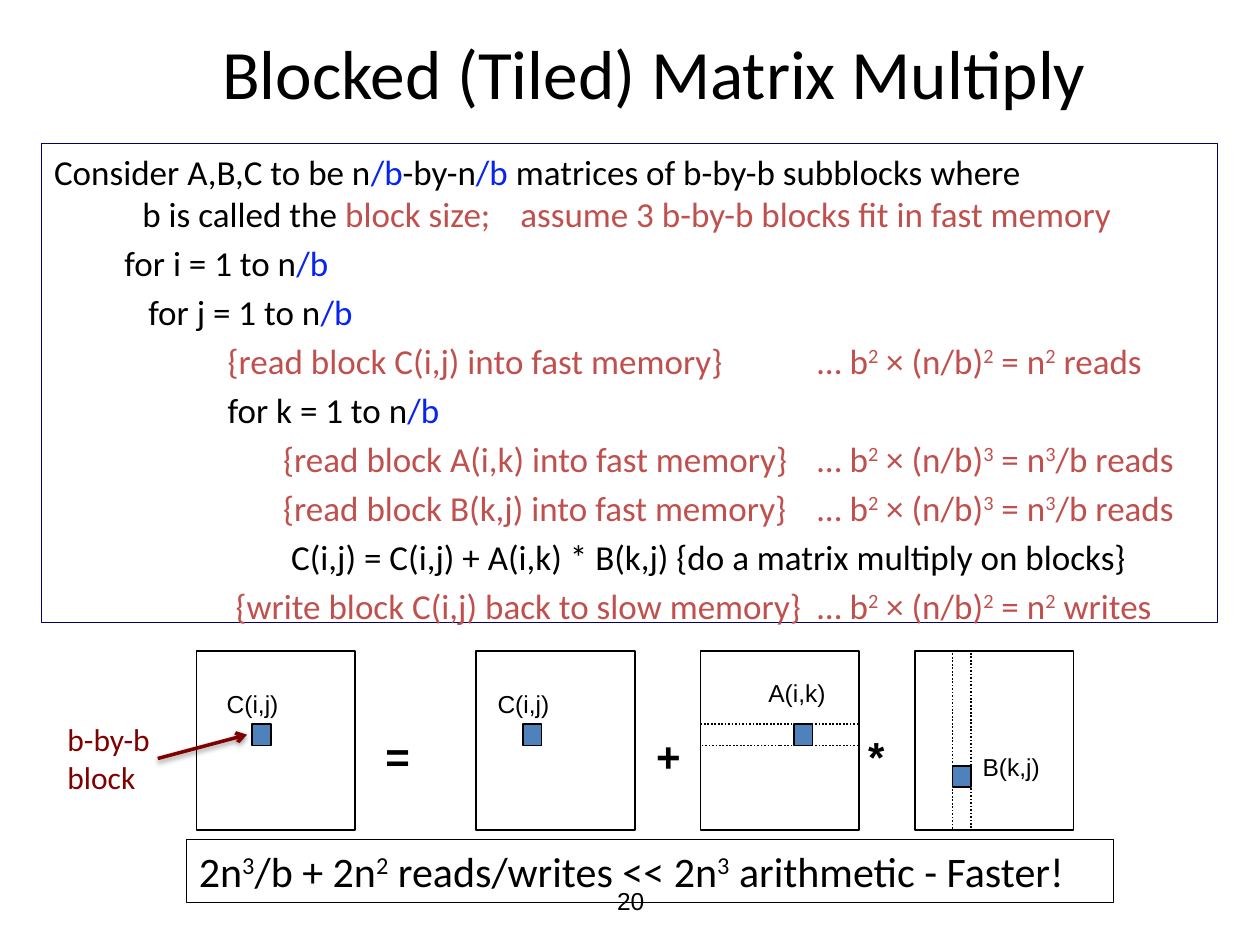
"""Build a slide on blocked matrix multiplication."""
from dataclasses import dataclass

import lxml.etree
import pptx
import pptx.dml.color
import pptx.enum.dml
import pptx.enum.shapes
import pptx.enum.text
import pptx.oxml
import pptx.oxml.ns
import pptx.util

Cm, Pt = pptx.util.Cm, pptx.util.Pt
RGBColor = pptx.dml.color.RGBColor
ALIGN = pptx.enum.text.PP_ALIGN
MIDDLE = pptx.enum.text.MSO_ANCHOR.MIDDLE
BLACK = RGBColor(0x00, 0x00, 0x00)
BLUE = RGBColor(0x08, 0x24, 0xF2)
RED = RGBColor(0xC0, 0x50, 0x4D)
NAVY = RGBColor(0x00, 0x00, 0x66)
MAROON = RGBColor(0x80, 0x00, 0x00)
BLOCK_FILL = RGBColor(0x4F, 0x81, 0xBD)

MATRIX_TOP, MATRIX_W, MATRIX_H = 13.13, 3.2, 3.6
BLOCK_W, BLOCK_H = 0.38, 0.43
COST_TAB = 15.39
CODE = {"name": "Calibri", "size": Pt(20)}
LABEL = {"name": "Arial", "size": Pt(14), "color": BLACK}
OPERATOR = {"name": "Arial", "size": Pt(24), "color": BLACK, "bold": True}
CALLOUT = {"name": "Calibri", "size": Pt(18), "color": MAROON}
RESULT = {"name": "Calibri", "size": Pt(24), "color": BLACK}
TITLE = {"name": "Calibri", "size": Pt(39.6), "color": BLACK}
SHADOW = """<a:effectLst xmlns:a="http://schemas.openxmlformats.org/drawingml/2006/main">
<a:outerShdw blurRad="39370" dist="20320" dir="5400000" rotWithShape="0">
<a:srgbClr val="000000"><a:alpha val="38000"/></a:srgbClr></a:outerShdw></a:effectLst>"""


@dataclass
class Line:
    """A code line: tab stops in cm and coloured segments."""
    tabs: tuple
    segments: list


@dataclass
class Matrix:
    """A matrix with its block and label offsets in cm."""
    left: float
    label: str
    block: tuple
    label_at: tuple
    strip: str = ""


def loop(indent: float, var: str) -> Line:
    """Return a loop header line."""
    return Line((indent,), [(f"\tfor {var} = 1 to n", BLACK), ("/b", BLUE)])


def transfer(indent: float, action: str, cost: str) -> Line:
    """Return a memory transfer line with its cost at a common tab stop."""
    return Line((indent, COST_TAB), [(f"\t{{{action} memory}}\t… {cost}", RED)])


LINES = [
    Line((1.78, 9.4), [
        ("Consider A,B,C to be n", BLACK), ("/b", BLUE), ("-by-n", BLACK),
        ("/b", BLUE), (" matrices of b-by-b subblocks where", BLACK),
        ("\n", BLACK), ("\tb is called the ", BLACK),
        ("block size;\tassume 3 b-by-b blocks fit in fast memory", RED)]),
    loop(1.42, "i"),
    loop(1.9, "j"),
    transfer(3.5, "read block C(i,j) into fast", "b^2 × (n/b)^2 = n^2 reads"),
    loop(3.5, "k"),
    transfer(4.62, "read block A(i,k) into fast", "b^2 × (n/b)^3 = n^3/b reads"),
    transfer(4.62, "read block B(k,j) into fast", "b^2 × (n/b)^3 = n^3/b reads"),
    Line((4.78,), [("\tC(i,j) = C(i,j) + A(i,k) * B(k,j) "
                    "{do a matrix multiply on blocks}", BLACK)]),
    transfer(3.66, "write block C(i,j) back to slow", "b^2 × (n/b)^2 = n^2 writes"),
]
MATRICES = [
    Matrix(3.96, "C(i,j)", (1.12, 1.47), (0.36, 0.64)),
    Matrix(9.6, "C(i,j)", (0.94, 1.47), (0.18, 0.64)),
    Matrix(14.12, "A(i,k)", (1.88, 1.47), (1.12, 0.41), "row"),
    Matrix(18.44, "B(k,j)", (0.76, 2.31), (1.12, 1.91), "column"),
]
OPERATORS = [("=", 7.52), ("+", 12.98), ("*", 17.25)]


def set_font(font, fmt: dict) -> None:
    """Apply a dict of format values to a font."""
    for key, value in fmt.items():
        if key == "color":
            font.color.rgb = value
        else:
            setattr(font, key, value)


def add_runs(p, text: str, fmt: dict) -> None:
    """Add text to a paragraph, raising the character after each caret."""
    head, *rest = text.split("^")
    pieces = [(head, False)]
    for piece in rest:
        pieces += [(piece[0], True), (piece[1:], False)]
    for piece, raised in pieces:
        if piece:
            r = p.add_run()
            r.text = piece
            set_font(r.font, fmt)
            if raised:
                r.font._element.set("baseline", "30000")


def set_tabs(p, tabs: tuple) -> None:
    """Set the tab stops of a paragraph."""
    ppr = p._p.get_or_add_pPr()
    tab_list = lxml.etree.SubElement(ppr, pptx.oxml.ns.qn("a:tabLst"))
    for pos in tabs:
        lxml.etree.SubElement(tab_list, pptx.oxml.ns.qn("a:tab"),
                              pos=str(int(Cm(pos))), algn="l")


def add_box(s, box: tuple, line=BLACK, width: float = 1, fill=None, dotted=False):
    """Add an outlined rectangle."""
    sp = s.shapes.add_shape(pptx.enum.shapes.MSO_SHAPE.RECTANGLE, *map(Cm, box))
    sp.shadow.inherit = False
    if fill is None:
        sp.fill.background()
    else:
        sp.fill.solid()
        sp.fill.fore_color.rgb = fill
    sp.line.color.rgb = line
    sp.line.width = Pt(width)
    if dotted:
        sp.line.dash_style = pptx.enum.dml.MSO_LINE.ROUND_DOT
    sp.text_frame.word_wrap = True
    sp.text_frame.vertical_anchor = pptx.enum.text.MSO_ANCHOR.TOP
    sp.text_frame.paragraphs[0].alignment = ALIGN.LEFT
    return sp


def add_text(s, box: tuple, lines: list, fmt: dict, wrap: bool = True):
    """Add a text box with one paragraph per line."""
    tf = s.shapes.add_textbox(*map(Cm, box)).text_frame
    tf.word_wrap = wrap
    for i, text in enumerate(lines):
        p = tf.add_paragraph() if i else tf.paragraphs[0]
        add_runs(p, text, fmt)
    return tf


def add_code(s) -> None:
    """Add the framed algorithm."""
    tf = add_box(s, (0.84, 2.9, 23.7, 9.65), NAVY, 0.75).text_frame
    for i, line in enumerate(LINES):
        p = tf.add_paragraph() if i else tf.paragraphs[0]
        p.alignment = ALIGN.LEFT
        set_tabs(p, line.tabs)
        if i:
            p.space_before = Pt(4)
        for text, color in line.segments:
            if text == "\n":
                p.add_line_break()
            else:
                add_runs(p, text, {**CODE, "color": color})


def add_matrix(s, m: Matrix) -> None:
    """Add a matrix with its strip, block and label."""
    x, y = m.left + m.block[0], MATRIX_TOP + m.block[1]
    add_box(s, (m.left, MATRIX_TOP, MATRIX_W, MATRIX_H))
    if m.strip == "row":
        add_box(s, (m.left, y, MATRIX_W, BLOCK_H), dotted=True)
    elif m.strip == "column":
        add_box(s, (x, MATRIX_TOP, BLOCK_W, MATRIX_H), dotted=True)
    add_box(s, (x, y, BLOCK_W, BLOCK_H), fill=BLOCK_FILL)
    label_box = (m.left + m.label_at[0], MATRIX_TOP + m.label_at[1], 1.88, 0.85)
    add_text(s, label_box, [m.label], LABEL)


def add_arrow(s, ends: tuple) -> None:
    """Add the shadowed callout arrow."""
    sp = s.shapes.add_connector(pptx.enum.shapes.MSO_CONNECTOR.STRAIGHT, *map(Cm, ends))
    sp.line.color.rgb = MAROON
    sp.line.width = Pt(2)
    lxml.etree.SubElement(sp.line._get_or_add_ln(), pptx.oxml.ns.qn("a:tailEnd"),
                          type="arrow")
    sp._element.spPr.append(pptx.oxml.parse_xml(SHADOW))


def main() -> None:
    """Build and save the slide."""
    prs = pptx.Presentation()
    prs.slide_width, prs.slide_height = Cm(25.4), Cm(19.05)
    s = prs.slides.add_slide(prs.slide_layouts[5])
    title = s.shapes.title
    title.left, title.top, title.width, title.height = map(Cm, (2.24, 0.86, 21.9, 1.17))
    tf = title.text_frame
    tf.vertical_anchor = MIDDLE
    tf.paragraphs[0].alignment = ALIGN.CENTER
    add_runs(tf.paragraphs[0], "Blocked (Tiled) Matrix Multiply", TITLE)
    add_code(s)
    for m in MATRICES:
        add_matrix(s, m)
    for symbol, left in OPERATORS:
        add_text(s, (left, 14.6, 1.5, 1.27), [symbol], OPERATOR)
    add_text(s, (1.11, 14.4, 2.21, 1.8), ["b-by-b", "block"], CALLOUT, wrap=False)
    add_arrow(s, (3.18, 15.29, 4.98, 14.81))
    p = add_box(s, (3.76, 16.92, 18.69, 1.27), width=0.75).text_frame.paragraphs[0]
    add_runs(p, "2n^3/b + 2n^2 reads/writes << 2n^3 arithmetic - Faster!", RESULT)
    tf = add_text(s, (8.69, 17.65, 8.05, 1.02), ["20"], LABEL)
    tf.vertical_anchor = MIDDLE
    tf.paragraphs[0].alignment = ALIGN.CENTER
    prs.save("out.pptx")


if __name__ == "__main__":
    main()
